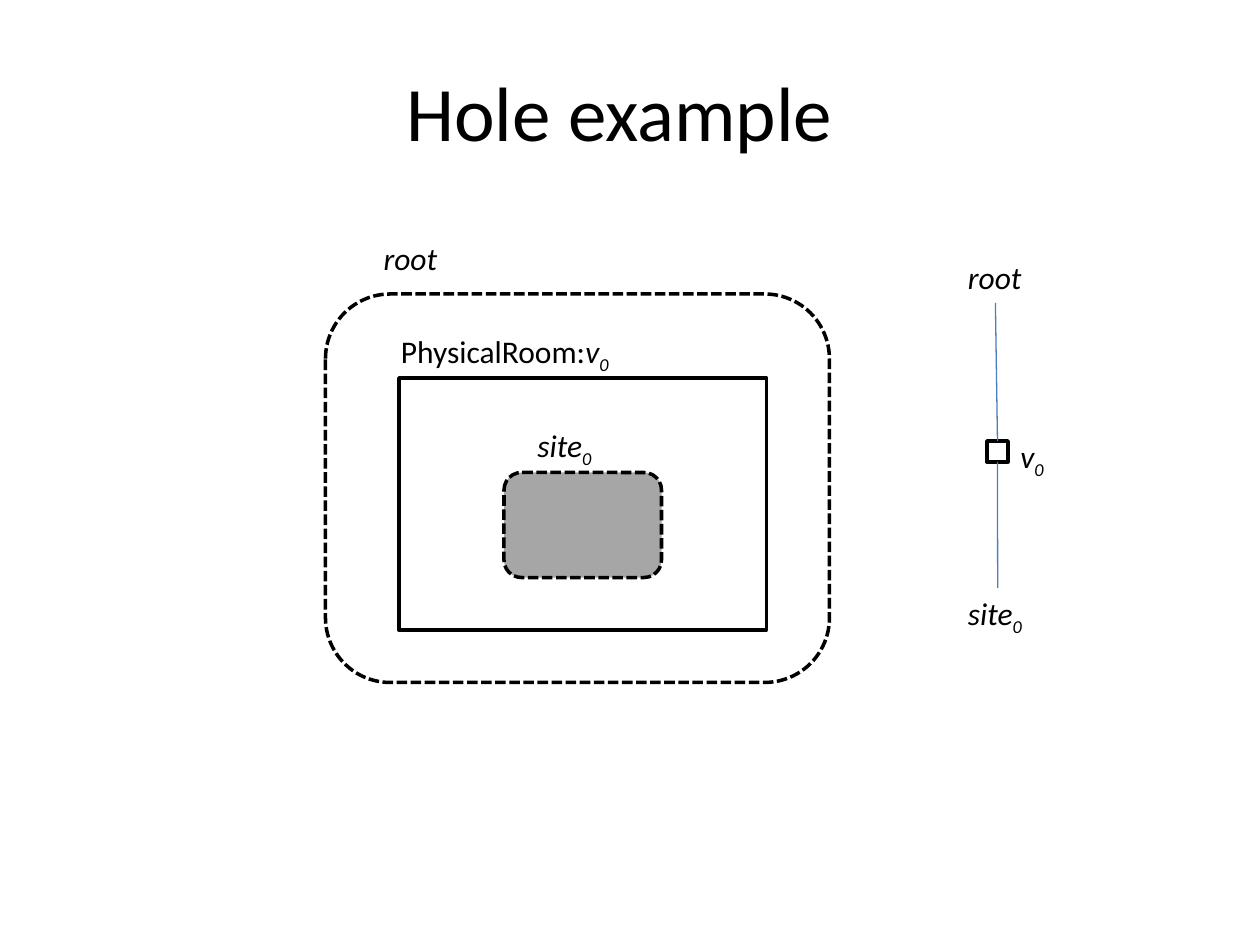
from lxml.etree import SubElement
from pptx import Presentation
from pptx.dml.color import RGBColor
from pptx.enum.dml import MSO_LINE
from pptx.enum.shapes import MSO_CONNECTOR, MSO_SHAPE
from pptx.enum.text import MSO_ANCHOR, MSO_AUTO_SIZE, PP_ALIGN
from pptx.oxml.ns import qn
from pptx.util import Inches, Pt

BLACK = RGBColor(0x00, 0x00, 0x00)
GRAY = RGBColor(0xA6, 0xA6, 0xA6)
BLUE = RGBColor(0x4B, 0x7E, 0xBC)

COLUMNS, ROWS = 120, 90
TITLE = ("Hole example", (5, 3, 108, 15))
REGIONS = [
    (MSO_SHAPE.RECTANGLE, (38, 36, 35, 24), None, None),
    (MSO_SHAPE.ROUNDED_RECTANGLE, (31, 28, 48, 37), None, MSO_LINE.SQUARE_DOT),
    (MSO_SHAPE.RECTANGLE, (94, 42, 2, 2), None, None),
    (MSO_SHAPE.ROUNDED_RECTANGLE, (48, 45, 15, 10), GRAY, MSO_LINE.SQUARE_DOT),
]
EDGES = [(94.8, 28.85, 95, 42), (95, 44, 95.02, 56)]
LABELS = [
    ("", "root", "", (35.35, 22.2, 7.7)),
    ("PhysicalRoom:", "v", "0", (37, 31, 23)),
    ("", "site", "0", (50, 40, 7.8)),
    ("", "root", "", (91, 24, 7.7)),
    ("", "v", "0", (96, 41, 4.8)),
    ("", "site", "0", (91, 56, 7.8)),
]
LABEL_ROWS = 4.8
TITLE_FONT = {"name": "Calibri", "size": Pt(44)}
LABEL_FONT = {"name": "Calibri", "size": Pt(18)}
ITALIC_FONT = {**LABEL_FONT, "italic": True}

presentation = Presentation()
presentation.slide_width, presentation.slide_height = Inches(10), Inches(7.5)
slide = presentation.slides.add_slide(presentation.slide_layouts[5])


def place(*cells):
    steps = (presentation.slide_width / COLUMNS, presentation.slide_height / ROWS)
    return [round(cell * steps[index % 2]) for index, cell in enumerate(cells)]


def apply(target, values):
    for name, value in values.items():
        setattr(target, name, value)


def add_run(paragraph, text, values):
    run = paragraph.add_run()
    run.text = text
    apply(run.font, values)
    run.font.color.rgb = BLACK
    return run


def add_title(text, cells):
    title = slide.shapes.title
    apply(title, dict(zip(("left", "top", "width", "height"), place(*cells))))
    title.text_frame.vertical_anchor = MSO_ANCHOR.MIDDLE
    paragraph = title.text_frame.paragraphs[0]
    paragraph.alignment = PP_ALIGN.CENTER
    add_run(paragraph, text, TITLE_FONT)


def add_region(kind, cells, fill, dash):
    shape = slide.shapes.add_shape(kind, *place(*cells))
    shape.shadow.inherit = False
    if fill is None:
        shape.fill.background()
    else:
        shape.fill.solid()
        shape.fill.fore_color.rgb = fill
    shape.line.color.rgb = BLACK
    shape.line.width = Pt(2)
    if dash is not None:
        shape.line.dash_style = dash


def add_edge(cells):
    edge = slide.shapes.add_connector(MSO_CONNECTOR.STRAIGHT, *place(*cells))
    edge.line.color.rgb = BLUE
    edge.line.width = Pt(0.75)
    SubElement(edge._element.spPr, qn("a:effectLst"))


def add_label(prefix, name, index, cells):
    box = slide.shapes.add_textbox(*place(*cells, LABEL_ROWS))
    apply(box.text_frame, {"word_wrap": False, "auto_size": MSO_AUTO_SIZE.SHAPE_TO_FIT_TEXT})
    paragraph = box.text_frame.paragraphs[0]
    if prefix:
        add_run(paragraph, prefix, LABEL_FONT)
    add_run(paragraph, name, ITALIC_FONT)
    if index:
        subscript = add_run(paragraph, index, ITALIC_FONT)
        subscript._r.get_or_add_rPr().set("baseline", "-25000")


add_title(*TITLE)
for region in REGIONS:
    add_region(*region)
for edge in EDGES:
    add_edge(edge)
for label in LABELS:
    add_label(*label)
presentation.save("out.pptx")
